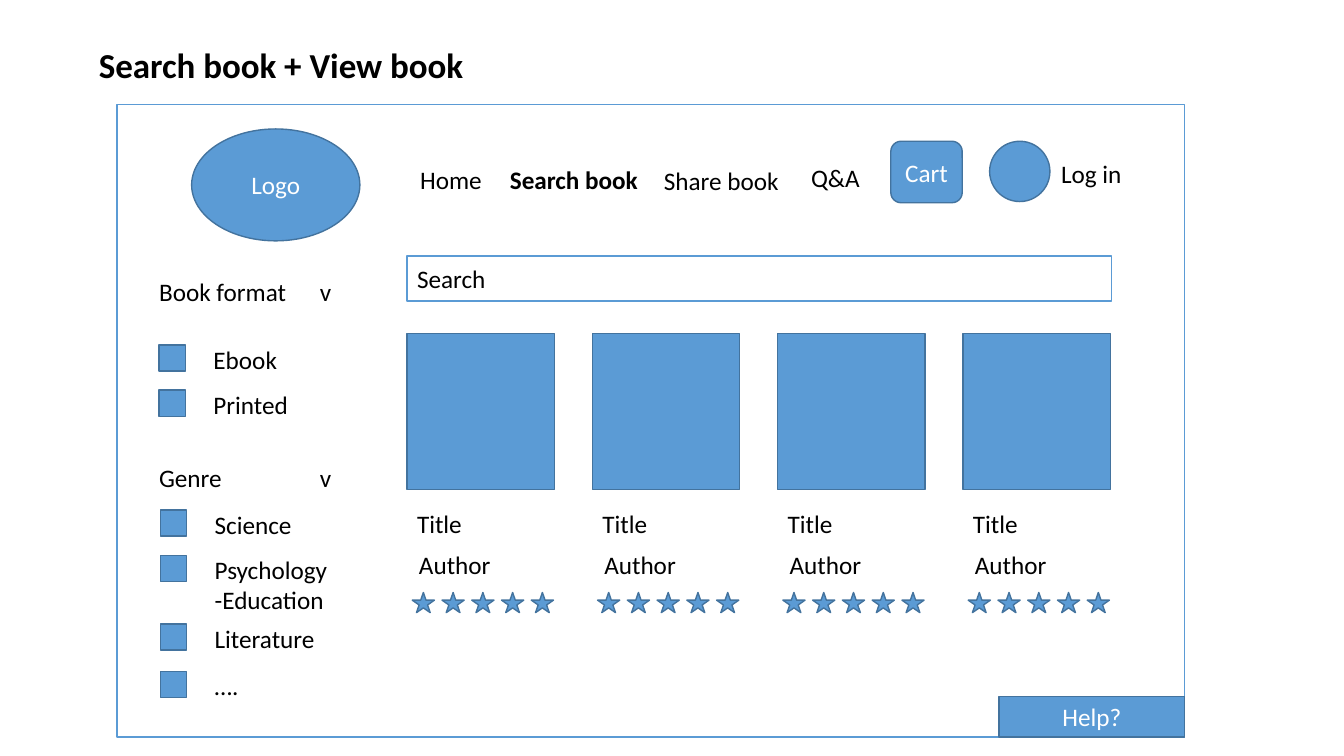
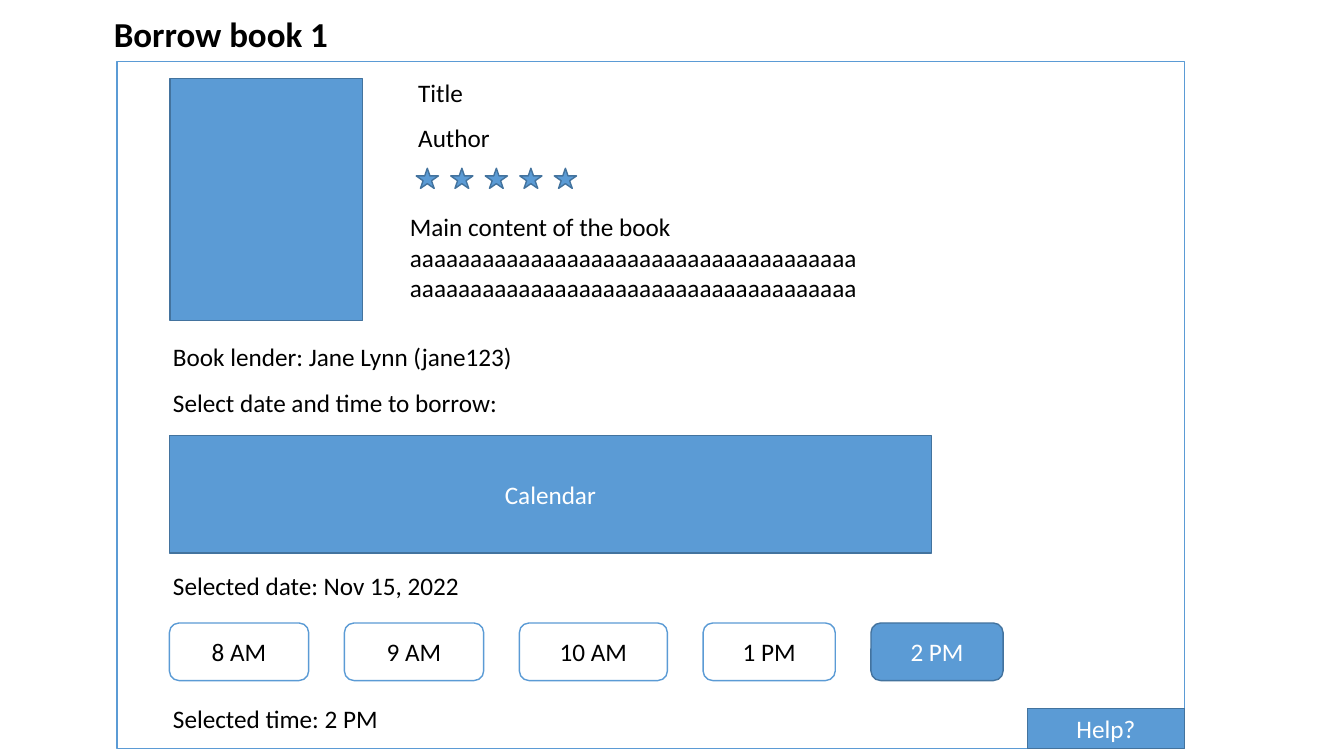
from pptx import Presentation
from pptx.dml.color import RGBColor
from pptx.enum.shapes import MSO_SHAPE
from pptx.enum.text import MSO_ANCHOR, MSO_AUTO_SIZE, PP_ALIGN
from pptx.oxml.ns import qn
from pptx.util import Cm, Pt
from lxml.etree import SubElement

# Shared look: fill, outline and text colour of each kind of shape
SOLID = ("5B9BD5", "43739E", "FFFFFF")
OUTLINE = ("FFFFFF", "5B9BD5", "000000")
BODY_FONT = {"name": "Calibri", "size": Pt(18), "bold": False}
BOLD_FONT = {**BODY_FONT, "bold": True}
TITLE_FONT = {**BOLD_FONT, "size": Pt(25)}

# Shared geometry, in centimetres
FRAME_LEFT, FRAME_WIDTH = 2.95, 26.9
LINE_HEIGHT = 1.02
CHECK_SIZE = 0.66
STAR_WIDTH, STAR_HEIGHT = 0.56, 0.51


def color(value):
    return RGBColor.from_string(value)


def apply_format(target, values):
    for name, value in values.items():
        setattr(target, name, value)


def write(para, text, text_color, font=BODY_FONT):
    span = para.add_run()
    span.text = text
    apply_format(span.font, font)
    span.font.color.rgb = color(text_color)


def add_box(page, kind, left, top, width, height, text="", style=SOLID,
            align=PP_ALIGN.CENTER):
    """Preset shape with an optional label."""
    fill, line, text_color = style
    box = page.shapes.add_shape(kind, Cm(left), Cm(top), Cm(width), Cm(height))
    box.shadow.inherit = False
    box.fill.solid()
    box.fill.fore_color.rgb = color(fill)
    box.line.color.rgb = color(line)
    box.line.width = Pt(1)
    if text:
        apply_format(box.text_frame, {"word_wrap": True,
                                      "vertical_anchor": MSO_ANCHOR.MIDDLE})
        para = box.text_frame.paragraphs[0]
        para.alignment = align
        write(para, text, text_color)
    return box


def add_text(page, left, top, width, *lines, font=BODY_FONT,
             height=LINE_HEIGHT, wrap=True, tab=None):
    """Text box with one paragraph per line and an optional tab stop."""
    box = page.shapes.add_textbox(Cm(left), Cm(top), Cm(width), Cm(height))
    frame = box.text_frame
    apply_format(frame, {"word_wrap": wrap,
                         "auto_size": MSO_AUTO_SIZE.SHAPE_TO_FIT_TEXT})
    for index, line in enumerate(lines):
        para = frame.add_paragraph() if index else frame.paragraphs[0]
        if tab:
            stops = SubElement(para._p.get_or_add_pPr(), qn("a:tabLst"))
            SubElement(stops, qn("a:tab"), pos=str(Cm(tab)), algn="l")
        write(para, line, "000000", font)
    return box


def add_stars(page, left, top, pitch):
    for index in range(5):
        add_box(page, MSO_SHAPE.STAR_5_POINT, left + index * pitch, top,
                STAR_WIDTH, STAR_HEIGHT)


def add_screen(deck, title, title_place, frame_top, frame_height, help_width):
    """Page with its title, the window frame and the help button."""
    page = deck.slides.add_slide(deck.slide_layouts[6])
    add_box(page, MSO_SHAPE.RECTANGLE, FRAME_LEFT, frame_top, FRAME_WIDTH,
            frame_height, style=OUTLINE)
    add_text(page, *title_place, title, font=TITLE_FONT, height=1.32, wrap=False)
    add_box(page, MSO_SHAPE.RECTANGLE, FRAME_LEFT + FRAME_WIDTH - help_width,
            frame_top + frame_height - LINE_HEIGHT, help_width, LINE_HEIGHT, "Help?")
    return page


def add_filter(page, heading, heading_top, left, options):
    """Collapsible filter: heading with its mark, then check boxes."""
    add_text(page, 3.76, heading_top, 5.56, heading + "\tv", tab=4.05)
    for label, top in options:
        add_box(page, MSO_SHAPE.RECTANGLE, left, top, CHECK_SIZE, CHECK_SIZE)
        add_text(page, left + 1.12, top - 0.15, 3.45, label)


def add_book_card(page, left, top):
    add_box(page, MSO_SHAPE.RECTANGLE, left, top, 3.71, 3.94)
    add_text(page, left, top + 4.29, 3.63, "Title")
    add_text(page, left + 0.05, top + 5.33, 3.63, "Author")
    add_stars(page, left + 0.13, top + 6.53, 0.75)


def add_navigation(page):
    add_box(page, MSO_SHAPE.OVAL, 4.83, 3.25, 4.24, 2.82, "Logo")
    for label, left, top, width, font in (
        ("Home", 10.34, 4.01, 2.34, BODY_FONT),
        ("Search book", 12.6, 4.01, 3.76, BOLD_FONT),
        ("Share book", 16.48, 4.04, 3.76, BODY_FONT),
        ("Q&A", 20.19, 3.96, 1.83, BODY_FONT),
        ("Log in", 26.49, 3.87, 2.59, BODY_FONT),
    ):
        add_text(page, left, top, width, label, font=font)
    add_box(page, MSO_SHAPE.ROUNDED_RECTANGLE, 22.45, 3.56, 1.8, 1.55, "Cart")
    add_box(page, MSO_SHAPE.OVAL, 24.94, 3.56, 1.52, 1.52)


def add_time_slots(page, left, top, gap, slots, selected):
    for label, width in slots:
        add_box(page, MSO_SHAPE.ROUNDED_RECTANGLE, left, top, width, 1.45, label,
                style=SOLID if label == selected else OUTLINE)
        left += width + gap


def build_search(deck):
    page = add_screen(deck, "Search book + View book", (2.24, 0.97, 9.8),
                      2.64, 15.93, 4.67)
    add_navigation(page)
    add_box(page, MSO_SHAPE.RECTANGLE, 10.26, 6.45, 17.75, 1.14, "Search",
            style=OUTLINE, align=PP_ALIGN.LEFT)
    # Filters
    add_filter(page, "Book format", 6.83, 4.01,
               (("Ebook", 8.69), ("Printed", 9.83)))
    add_filter(page, "Genre", 11.53, 4.04,
               (("Science", 12.85), ("Psychology-Education", 14),
                ("Literature", 15.72), ("….", 16.92)))
    # Results
    for index in range(4):
        add_book_card(page, 10.26 + index * 4.67, 8.4)


def build_borrow(deck):
    page = add_screen(deck, "Borrow book 1", (2.62, 0.18, 6.76),
                      1.55, 17.32, 3.96)
    # Book details
    add_box(page, MSO_SHAPE.RECTANGLE, 4.29, 1.98, 4.85, 6.1)
    add_text(page, 10.29, 1.83, 3.68, "Title")
    add_text(page, 10.29, 2.95, 3.68, "Author")
    add_stars(page, 10.49, 4.24, 0.87)
    add_text(page, 10.08, 5.21, 12.04, "Main content of the book", "a" * 74,
             height=3.12)
    # Booking
    for label, top in (
        ("Book lender: Jane Lynn (jane123)", 8.48),
        ("Select date and time to borrow:", 9.63),
        ("Selected date: Nov 15, 2022", 14.25),
        ("Selected time: 2 PM", 17.6),
    ):
        add_text(page, 4.11, top, 12, label)
    add_box(page, MSO_SHAPE.RECTANGLE, 4.27, 10.97, 19.2, 2.97, "Calendar")
    add_time_slots(page, 4.27, 15.7, 0.9,
                   (("8 AM", 3.51), ("9 AM", 3.51), ("10 AM", 3.73),
                    ("1 PM", 3.33), ("2 PM", 3.33)), "2 PM")


def main():
    deck = Presentation()
    apply_format(deck, {"slide_width": Cm(33.87), "slide_height": Cm(19.05)})
    build_search(deck)
    build_borrow(deck)
    deck.save("out.pptx")


if __name__ == "__main__":
    main()
